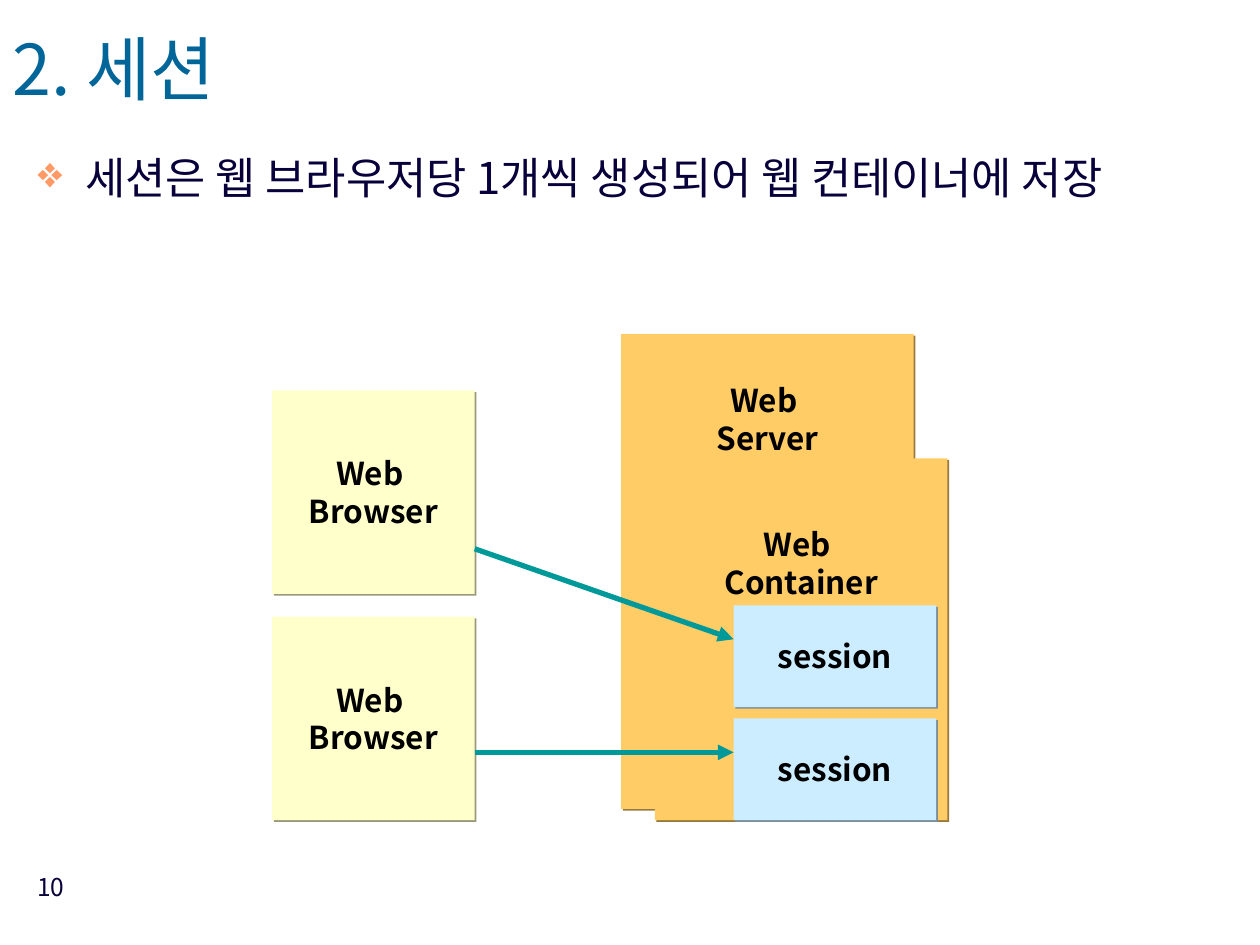
from lxml.etree import SubElement
from pptx import Presentation
from pptx.dml.color import RGBColor
from pptx.enum.shapes import MSO_CONNECTOR as Connector, MSO_SHAPE as Shape
from pptx.enum.text import MSO_ANCHOR as Anchor, PP_ALIGN as Align
from pptx.oxml.ns import qn
from pptx.util import Inches, Pt

FONT = "Noto Sans CJK KR"
COLORS = {
    "title": "006699", "body": "08003A", "bullet": "FF9966", "label": "010000",
    "browser": "FFFFCC", "server": "FFCC66", "session": "CCECFF", "arrow": "009999",
}
SHADOWS = {"browser": "99997A", "server": "997A3D", "session": "7A8E99"}
COLUMNS, ROWS = 60, 43

# text, kind, column, row, columns wide, rows high, rows above the text (None: centred)
BOXES = [
    ("Web \nBrowser", "browser", 0, 5, 18, 18, None),
    ("Web \nServer", "server", 31, 0, 26, 42, 4.2),
    ("Web \nBrowser", "browser", 0, 25, 18, 18, None),
    ("Web \nContainer", "server", 34, 11, 26, 32, 5.9),
    ("session", "session", 41, 24, 18, 9, None),
    ("session", "session", 41, 34, 18, 9, None),
]
# start column and row, end column and row
ARROWS = [(18, 19, 41, 27), (18, 37, 41, 37)]


def color(name):
    return RGBColor.from_string(COLORS[name])


def write(text_frame, text, size, color_name, align=Align.LEFT, bold=False):
    text_frame.text = text
    for paragraph in text_frame.paragraphs:
        paragraph.alignment = align
        for run in paragraph.runs:
            font = run.font
            font.name, font.size, font.bold = FONT, Pt(size), bold
            font.color.rgb = color(color_name)
            SubElement(font._element, qn("a:ea"), typeface=FONT)


def add_text(slide, box, text, size, color_name, align=Align.LEFT):
    text_frame = slide.shapes.add_textbox(*map(Inches, box)).text_frame
    text_frame.word_wrap = True
    write(text_frame, text, size, color_name, align)
    return text_frame


def add_title(slide, box, text):
    text_frame = add_text(slide, box, text, 40, "title")
    text_frame.vertical_anchor = Anchor.MIDDLE
    text_frame.paragraphs[0].line_spacing = 0.7


def add_bullet(slide, box, text):
    paragraph = add_text(slide, box, text, 25, "body").paragraphs[0]
    paragraph.space_before = Pt(6.2)
    properties = paragraph._p.get_or_add_pPr()
    indent = Inches(0.38)
    properties.set("marL", str(indent))
    properties.set("indent", str(-indent))
    bullet_color = SubElement(properties, qn("a:buClr"))
    SubElement(bullet_color, qn("a:srgbClr"), val=COLORS["bullet"])
    SubElement(properties, qn("a:buChar"), char="❖")


def add_hard_shadow(shape, hex_color):
    effects = SubElement(shape._element.spPr, qn("a:effectLst"))
    shadow = SubElement(effects, qn("a:outerShdw"), dist=str(Pt(1.4)),
                        dir=str(45 * 60000), algn="ctr", rotWithShape="0")
    SubElement(shadow, qn("a:srgbClr"), val=hex_color)


def add_box(shapes, place, text, kind, text_top):
    shape = shapes.add_shape(Shape.RECTANGLE, *place)
    shape.fill.solid()
    shape.fill.fore_color.rgb = color(kind)
    shape.line.fill.background()
    add_hard_shadow(shape, SHADOWS[kind])
    text_frame = shape.text_frame
    text_frame.word_wrap = False
    text_frame.vertical_anchor = Anchor.MIDDLE
    if text_top is not None:
        text_frame.vertical_anchor = Anchor.TOP
        text_frame.margin_top = text_top
    write(text_frame, text, 18, "label", Align.CENTER, bold=True)


def add_arrow(shapes, ends):
    arrow = shapes.add_connector(Connector.STRAIGHT, *ends)
    arrow.line.color.rgb = color("arrow")
    arrow.line.width = Pt(3)
    SubElement(arrow.line._get_or_add_ln(), qn("a:tailEnd"), type="triangle")
    SubElement(arrow._element.spPr, qn("a:effectLst"))


def add_session_diagram(slide, box):
    left, top, width, height = box
    column, row = width / COLUMNS, height / ROWS

    def point(x, y):
        return Inches(left + x * column), Inches(top + y * row)

    shapes = slide.shapes.add_group_shape().shapes
    for text, kind, x, y, wide, high, rows_above in BOXES:
        size = Inches(wide * column), Inches(high * row)
        text_top = None if rows_above is None else Inches(rows_above * row)
        add_box(shapes, point(x, y) + size, text, kind, text_top)
    for x1, y1, x2, y2 in ARROWS:
        add_arrow(shapes, point(x1, y1) + point(x2, y2))


def main():
    presentation = Presentation()
    presentation.slide_width, presentation.slide_height = Inches(10), Inches(7.5)
    slide = presentation.slides.add_slide(presentation.slide_layouts[6])
    add_text(slide, (0.14, 6.87, 0.47, 0.52), "10", 14, "body", Align.RIGHT)
    add_title(slide, (0, 0.28, 8.54, 0.67), "2. 세션")
    add_bullet(slide, (0.2, 1.15, 9.61, 1.1),
               "세션은 웹 브라우저당 1개씩 생성되어 웹 컨테이너에 저장")
    add_session_diagram(slide, (2.16, 2.65, 5.36, 3.86))
    presentation.save("out.pptx")


if __name__ == "__main__":
    main()
